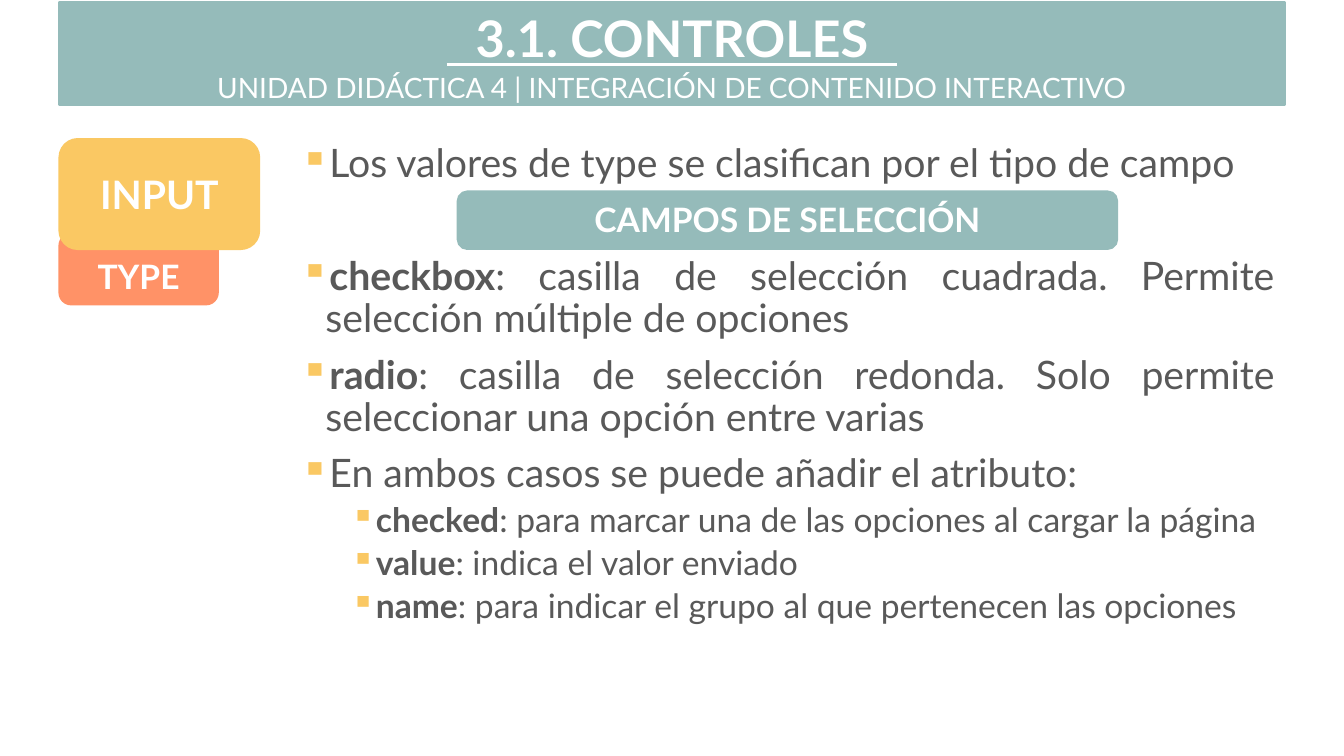
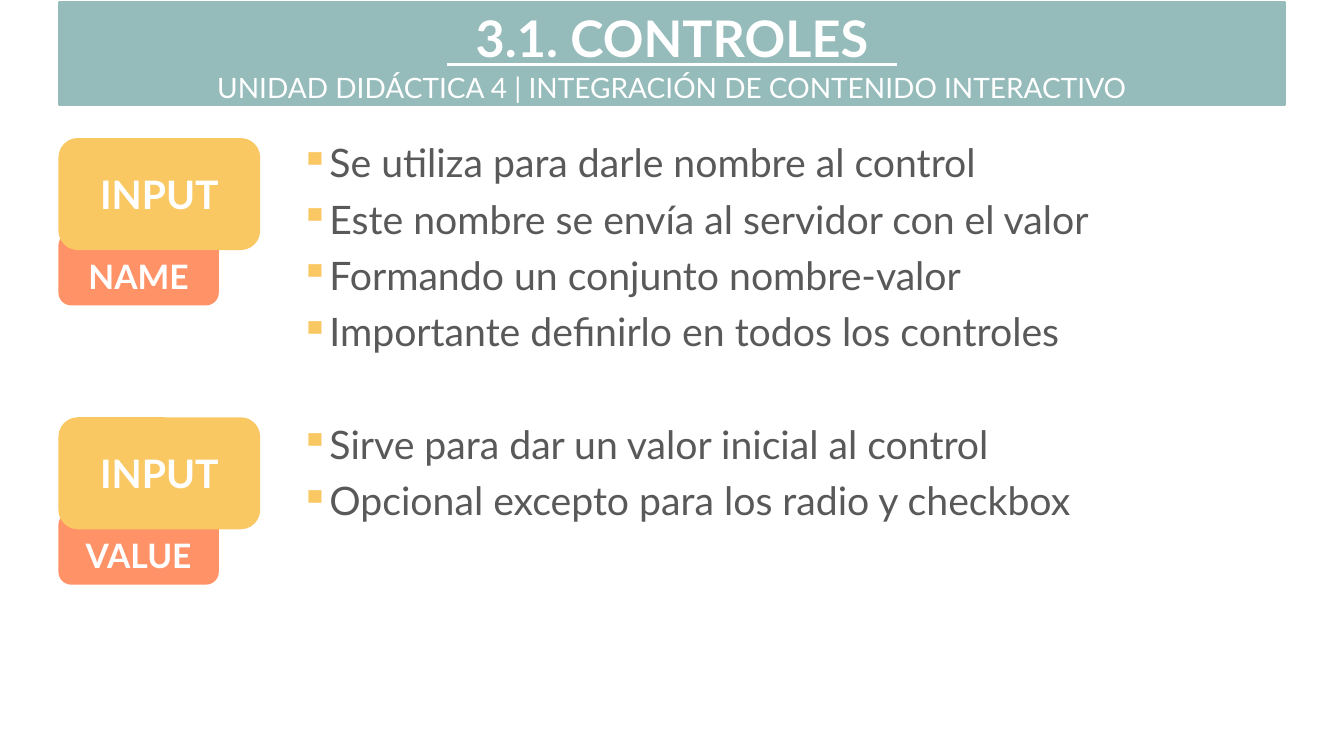
from lxml import etree
from pptx import Presentation
from pptx.dml.color import RGBColor
from pptx.enum.shapes import MSO_CONNECTOR, MSO_SHAPE
from pptx.enum.text import MSO_ANCHOR, PP_ALIGN
from pptx.oxml.ns import qn
from pptx.util import Inches, Pt

RECTANGLE = MSO_SHAPE.RECTANGLE
ROUNDED = MSO_SHAPE.ROUNDED_RECTANGLE
STRAIGHT = MSO_CONNECTOR.STRAIGHT
TOP, MIDDLE, BOTTOM = MSO_ANCHOR.TOP, MSO_ANCHOR.MIDDLE, MSO_ANCHOR.BOTTOM
CENTER, JUSTIFY = PP_ALIGN.CENTER, PP_ALIGN.JUSTIFY

FONT = "Lato"
TEAL, YELLOW, CORAL = "95BBBA", "FAC863", "FF9267"
WHITE, GRAY = "FFFFFF", "595959"
LEFT, WIDTH = 0.59, 12.15
BODY_TOP = 1.38
BODY_BOX = (2.88, BODY_TOP, 9.86, 5.96)
LEVEL_SIZES = (28, 24)
LEVEL_SPACES = (10, 5)
SKIPPED_LINE = 40.2

TITLE = "3.1. CONTROLES"
SUBTITLE = "UNIDAD DIDÁCTICA 4 | INTEGRACIÓN DE CONTENIDO INTERACTIVO"

# Each body line: level, bold term, remaining text, whether a line is skipped above
SELECTION_LINES = [
    (0, "", "Los valores de type se clasifican por el tipo de campo", False),
    (0, "checkbox", ": casilla de selección cuadrada. Permite selección múltiple de opciones", True),
    (0, "radio", ": casilla de selección redonda. Solo permite seleccionar una opción entre varias", False),
    (0, "", "En ambos casos se puede añadir el atributo:", False),
    (1, "checked", ": para marcar una de las opciones al cargar la página", False),
    (1, "value", ": indica el valor enviado", False),
    (1, "name", ": para indicar el grupo al que pertenecen las opciones", False),
]
NAME_VALUE_LINES = [
    (0, "", "Se utiliza para darle nombre al control", False),
    (0, "", "Este nombre se envía al servidor con el valor", False),
    (0, "", "Formando un conjunto nombre-valor", False),
    (0, "", "Importante definirlo en todos los controles", False),
    (0, "", "Sirve para dar un valor inicial al control", True),
    (0, "", "Opcional excepto para los radio y checkbox", False),
]


def paint(color_format, color):
    color_format.rgb = RGBColor.from_string(color)


def style_font(font, size, color, bold=None):
    font.name = FONT
    font.size = Pt(size)
    font.bold = bold
    paint(font.color, color)


def add_label(page, kind, box, color, text, size, anchor, bold=True):
    shape = page.shapes.add_shape(kind, *map(Inches, box))
    shape.shadow.inherit = False
    shape.fill.solid()
    paint(shape.fill.fore_color, color)
    shape.line.width = Pt(1.5)
    paint(shape.line.color, color)
    frame = shape.text_frame
    frame.word_wrap = True
    frame.vertical_anchor = anchor
    para = frame.paragraphs[0]
    para.text = text
    para.alignment = CENTER
    style_font(para.font, size, WHITE, bold)


def add_header(page, left, top, width):
    add_label(page, RECTANGLE, (left, top, width, 1.01), TEAL, TITLE, 36, TOP)
    add_label(page, RECTANGLE, (left, top + 0.67, width, 0.35), TEAL, SUBTITLE, 20, MIDDLE, False)
    center, half, rule_top = left + width / 2, 2.235, top + 0.62
    rule = page.shapes.add_connector(
        STRAIGHT, *map(Inches, (center - half, rule_top, center + half, rule_top)))
    rule.line.width = Pt(2.25)
    paint(rule.line.color, WHITE)
    etree.SubElement(rule._element.spPr, qn("a:effectLst"))


def add_attribute_tag(page, left, top, attribute):
    add_label(page, ROUNDED, (left, top + 0.94, 1.57, 0.7), CORAL, attribute, 24, BOTTOM)
    add_label(page, ROUNDED, (left, top, 1.98, 1.09), YELLOW, "INPUT", 28, MIDDLE)


def set_bullet(para, level):
    properties = para._p.get_or_add_pPr()
    properties.set("marL", str(Inches(0.25 + 0.5 * level)))
    properties.set("indent", str(Inches(-0.25)))
    bullet_color = etree.SubElement(properties, qn("a:buClr"))
    etree.SubElement(bullet_color, qn("a:srgbClr"), val=YELLOW)
    etree.SubElement(properties, qn("a:buChar"), char="▪")


def add_body(page, box, lines):
    frame = page.shapes.add_textbox(*map(Inches, box)).text_frame
    frame.word_wrap = True
    frame.vertical_anchor = TOP
    for index, (level, term, text, skip) in enumerate(lines):
        para = frame.add_paragraph() if index else frame.paragraphs[0]
        para.level = level
        para.alignment = JUSTIFY
        para.line_spacing = 0.9
        para.space_before = Pt(LEVEL_SPACES[level] + (SKIPPED_LINE if skip else 0))
        set_bullet(para, level)
        style_font(para.font, LEVEL_SIZES[level], GRAY)
        if term:
            span = para.add_run()
            span.text = term
            span.font.bold = True
        para.add_run().text = text


def add_page(deck, lines, tags):
    page = deck.slides.add_slide(deck.slide_layouts[6])
    add_header(page, LEFT, 0.02, WIDTH)
    add_body(page, BODY_BOX, lines)
    for index, attribute in enumerate(tags):
        add_attribute_tag(page, LEFT, BODY_TOP + 2.77 * index, attribute)
    return page


def main():
    deck = Presentation()
    deck.slide_width, deck.slide_height = Inches(13.33), Inches(7.5)
    selection = add_page(deck, SELECTION_LINES, ["TYPE"])
    add_label(selection, ROUNDED, (4.54, 1.9, 6.54, 0.57), TEAL, "CAMPOS DE SELECCIÓN", 24, TOP)
    add_page(deck, NAME_VALUE_LINES, ["NAME", "VALUE"])
    deck.save("out.pptx")


if __name__ == "__main__":
    main()
